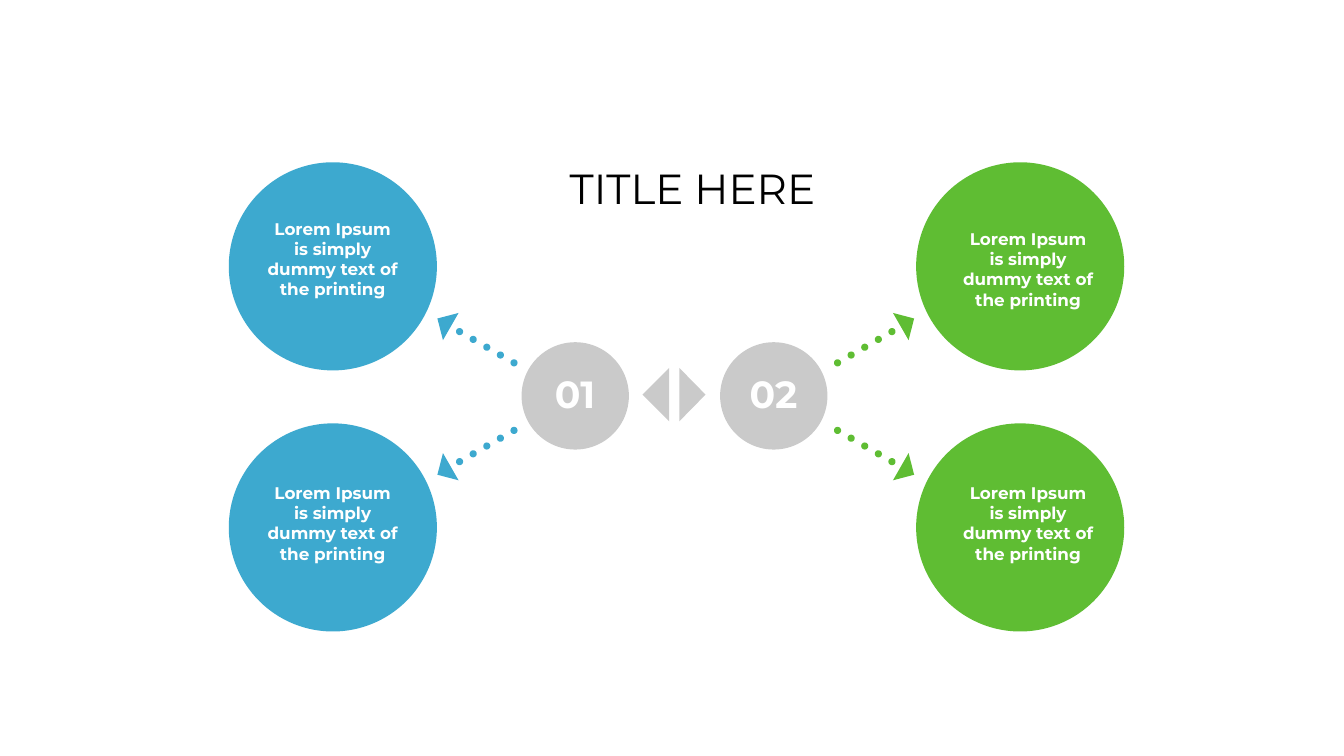
from math import cos, pi, sin
from typing import NamedTuple

from pptx import Presentation
from pptx.dml.color import RGBColor
from pptx.enum.shapes import MSO_SHAPE
from pptx.enum.text import MSO_ANCHOR, MSO_AUTO_SIZE, PP_ALIGN
from pptx.util import Inches, Pt

OVAL = MSO_SHAPE.OVAL
TOP = MSO_ANCHOR.TOP
GROW = MSO_AUTO_SIZE.SHAPE_TO_FIT_TEXT
CENTER = PP_ALIGN.CENTER

BLACK = RGBColor(0x00, 0x00, 0x00)
WHITE = RGBColor(0xFF, 0xFF, 0xFF)
GRAY = RGBColor(0xCA, 0xCA, 0xCA)
GREEN = RGBColor(0x5F, 0xBD, 0x33)
BLUE = RGBColor(0x3D, 0xA9, 0xCF)

PX = Inches(0.01)
MIRROR_X = 2682
MIRROR_Y = 1574
TOPIC_SIZE = 413
HUB_SIZE = 213
DOT_RADIUS = 7
DOT_COUNT = 5
DOT_CORNERS = 32
ARROWHEAD = [(1772, 621), (1814, 632), (1803, 675)]
FIRST_DOT = (1770, 658)
LAST_DOT = (1662, 720)
TOPIC_TEXT = "Lorem Ipsum is simply dummy text of the printing"

FRAME_FORMAT = {"word_wrap": True, "auto_size": GROW, "vertical_anchor": TOP}
TOPIC_FONT = {"name": "Montserrat", "size": Pt(24), "bold": True}
HUB_FONT = {"name": "Montserrat", "size": Pt(54), "bold": True}
TITLE_FONT = {"name": "Montserrat", "size": Pt(60), "bold": False}

Point = tuple[float, float]


class Topic(NamedTuple):
    left: int
    top: int
    text_left: int
    text_top: int
    color: RGBColor
    flip_x: bool
    flip_y: bool


class Hub(NamedTuple):
    label: str
    left: int
    text_left: int


TOPICS = [
    Topic(1818, 322, 1897, 449, GREEN, False, False),
    Topic(1818, 840, 1897, 953, GREEN, False, True),
    Topic(454, 322, 517, 429, BLUE, True, False),
    Topic(454, 840, 517, 953, BLUE, True, True),
]
HUBS = [Hub("01", 1035, 1060), Hub("02", 1429, 1454)]
POINTERS = [
    [(1328, 836), (1275, 783), (1328, 730)],
    [(1348, 836), (1400, 783), (1348, 730)],
]


def paint(shape, color: RGBColor) -> None:
    shape.fill.solid()
    shape.fill.fore_color.rgb = color
    shape.line.fill.background()
    shape.shadow.inherit = False


def draw_circle(shapes, left: int, top: int, size: int, color: RGBColor) -> None:
    circle = shapes.add_shape(OVAL, left * PX, top * PX, size * PX, size * PX)
    paint(circle, color)


def draw_outline(shapes, contours: list[list[Point]], color: RGBColor) -> None:
    scaled = [[(x * PX, y * PX) for x, y in contour] for contour in contours]
    builder = shapes.build_freeform(*scaled[0][0])
    builder.add_line_segments(scaled[0][1:], close=True)
    for contour in scaled[1:]:
        builder.move_to(*contour[0])
        builder.add_line_segments(contour[1:], close=True)
    paint(builder.convert_to_shape(), color)


def dot_contour(index: int) -> list[Point]:
    share = index / (DOT_COUNT - 1)
    x, y = (a + (b - a) * share for a, b in zip(FIRST_DOT, LAST_DOT))
    angles = [2 * pi * corner / DOT_CORNERS for corner in range(DOT_CORNERS)]
    return [(x + DOT_RADIUS * cos(a), y + DOT_RADIUS * sin(a)) for a in angles]


def draw_dotted_arrow(shapes, topic: Topic) -> None:
    contours = [ARROWHEAD] + [dot_contour(i) for i in range(DOT_COUNT)]
    flipped = [
        [
            (MIRROR_X - x if topic.flip_x else x, MIRROR_Y - y if topic.flip_y else y)
            for x, y in contour
        ]
        for contour in contours
    ]
    draw_outline(shapes, flipped, topic.color)


def write_text(holder, text: str, font_format: dict, color: RGBColor) -> None:
    frame = holder.text_frame
    for name, value in FRAME_FORMAT.items():
        setattr(frame, name, value)
    paragraph = frame.paragraphs[0]
    paragraph.text = text
    paragraph.alignment = CENTER
    for name, value in font_format.items():
        setattr(paragraph.font, name, value)
    paragraph.font.color.rgb = color


def add_label(
    shapes, left: int, top: int, width: int, height: int, text: str, font_format: dict
) -> None:
    label = shapes.add_textbox(left * PX, top * PX, width * PX, height * PX)
    write_text(label, text, font_format, WHITE)


def main() -> None:
    presentation = Presentation()
    presentation.slide_width = 2667 * PX
    presentation.slide_height = 1500 * PX
    slide = presentation.slides.add_slide(presentation.slide_layouts[5])
    shapes = slide.shapes

    title = shapes.title
    title_place = {"left": 993, "top": 318, "width": 762, "height": 111}
    for name, value in title_place.items():
        setattr(title, name, value * PX)
    write_text(title, "TITLE HERE", TITLE_FONT, BLACK)

    for hub in HUBS:
        draw_circle(shapes, hub.left, 679, HUB_SIZE, GRAY)
        add_label(shapes, hub.text_left, 730, 162, 101, hub.label, HUB_FONT)

    pointer_pair = shapes.add_group_shape()
    for pointer in POINTERS:
        draw_outline(pointer_pair.shapes, [pointer], GRAY)

    for topic in TOPICS:
        draw_circle(shapes, topic.left, topic.top, TOPIC_SIZE, topic.color)
        draw_dotted_arrow(shapes, topic)
        add_label(
            shapes, topic.text_left, topic.text_top, 286, 172, TOPIC_TEXT, TOPIC_FONT
        )

    presentation.save("out.pptx")


if __name__ == "__main__":
    main()
